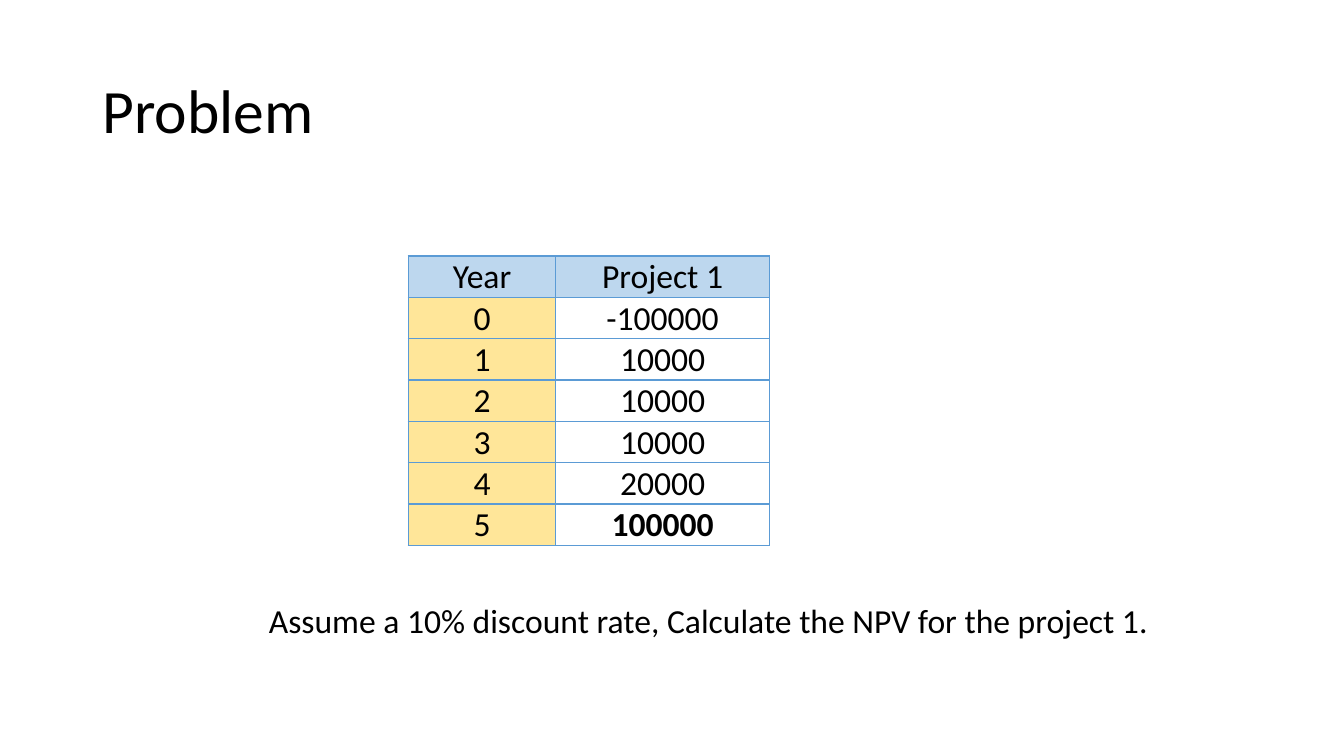
from dataclasses import dataclass

import lxml.etree
import pptx
import pptx.dml.color
import pptx.enum.text
import pptx.oxml.ns
import pptx.util

Pt = pptx.util.Pt
Anchor = pptx.enum.text.MSO_ANCHOR
Align = pptx.enum.text.PP_ALIGN

FONT = "Calibri"
COLORS = {
    "text": "000000",
    "header": "BDD7EE",
    "year": "FFE699",
    "cash": "FFFFFF",
    "border": "5B9BD5",
}
CASH_FLOWS = [-100000, 10000, 10000, 10000, 20000, 100000]
COLUMN_WIDTHS = [105.5, 152.5]
ROW_HEIGHT = 29.5
TABLE_LEFT, TABLE_TOP = 291.6, 182.9


@dataclass
class TextBlock:
    text: str
    left: float
    top: float
    width: float
    height: float
    size: float
    anchor: Anchor = Anchor.TOP
    line_spacing: float = 1.0


@dataclass
class TableCell:
    text: str
    fill: str
    bold: bool = False


TEXT_BLOCKS = [
    TextBlock("Problem", 66, 28.8, 828, 104.4, 44, Anchor.MIDDLE, 0.9),
    TextBlock("Assume a 10% discount rate, Calculate the NPV for the project 1.",
              185, 424.8, 728, 36, 24),
]


def color(name: str) -> pptx.dml.color.RGBColor:
    return pptx.dml.color.RGBColor.from_string(COLORS[name])


def write_text(frame, text: str, *, size: float, bold: bool = False,
               align: Align = Align.LEFT, line_spacing: float = 1.0) -> None:
    para = frame.paragraphs[0]
    para.alignment = align
    para.line_spacing = line_spacing
    span = para.add_run()
    span.text = text
    span.font.name = FONT
    span.font.size = Pt(size)
    span.font.bold = bold
    span.font.color.rgb = color("text")


def draw_text_block(page, block: TextBlock) -> None:
    box = page.shapes.add_textbox(Pt(block.left), Pt(block.top),
                                  Pt(block.width), Pt(block.height))
    box.text_frame.word_wrap = True
    box.text_frame.vertical_anchor = block.anchor
    write_text(box.text_frame, block.text, size=block.size,
               line_spacing=block.line_spacing)


def add_borders(cell) -> None:
    properties = cell._tc.get_or_add_tcPr()
    qualified = pptx.oxml.ns.qn
    for position, side in enumerate(("a:lnL", "a:lnR", "a:lnT", "a:lnB")):
        line = lxml.etree.Element(qualified(side), w=str(Pt(1)))
        fill = lxml.etree.SubElement(line, qualified("a:solidFill"))
        lxml.etree.SubElement(fill, qualified("a:srgbClr"), val=COLORS["border"])
        properties.insert(position, line)


def draw_cell(cell, content: TableCell) -> None:
    cell.margin_left = cell.margin_right = cell.margin_top = Pt(0.7)
    cell.margin_bottom = Pt(0)
    cell.vertical_anchor = Anchor.BOTTOM
    cell.fill.solid()
    cell.fill.fore_color.rgb = color(content.fill)
    add_borders(cell)
    write_text(cell.text_frame, content.text, size=24, bold=content.bold,
               align=Align.CENTER)


def draw_cash_flow_table(page) -> None:
    last_year = len(CASH_FLOWS) - 1
    rows = [[TableCell("Year", "header"), TableCell("Project 1", "header")]]
    rows += [
        [TableCell(str(year), "year"),
         TableCell(str(amount), "cash", bold=year == last_year)]
        for year, amount in enumerate(CASH_FLOWS)
    ]
    table = page.shapes.add_table(
        len(rows), len(COLUMN_WIDTHS), Pt(TABLE_LEFT), Pt(TABLE_TOP),
        Pt(sum(COLUMN_WIDTHS)), Pt(ROW_HEIGHT * len(rows))).table
    table.first_row = False
    table.horz_banding = False
    for column, width in zip(table.columns, COLUMN_WIDTHS):
        column.width = Pt(width)
    for row, contents in zip(table.rows, rows):
        row.height = Pt(ROW_HEIGHT)
        for cell, content in zip(row.cells, contents):
            draw_cell(cell, content)


def main() -> None:
    deck = pptx.Presentation()
    deck.slide_width, deck.slide_height = Pt(960), Pt(540)
    page = deck.slides.add_slide(deck.slide_layouts[6])
    title, question = TEXT_BLOCKS
    draw_text_block(page, title)
    draw_cash_flow_table(page)
    draw_text_block(page, question)
    deck.save("out.pptx")


if __name__ == "__main__":
    main()
